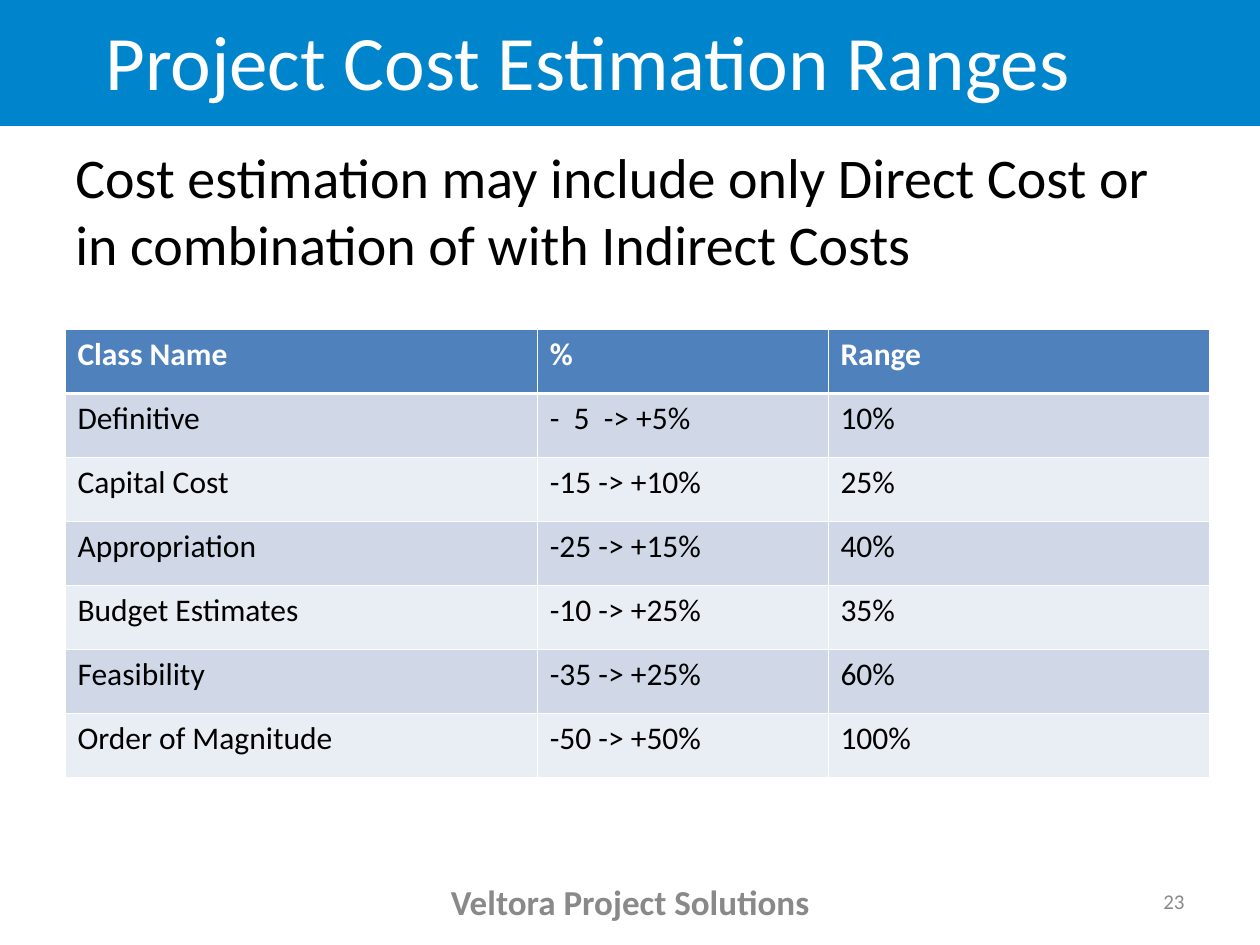
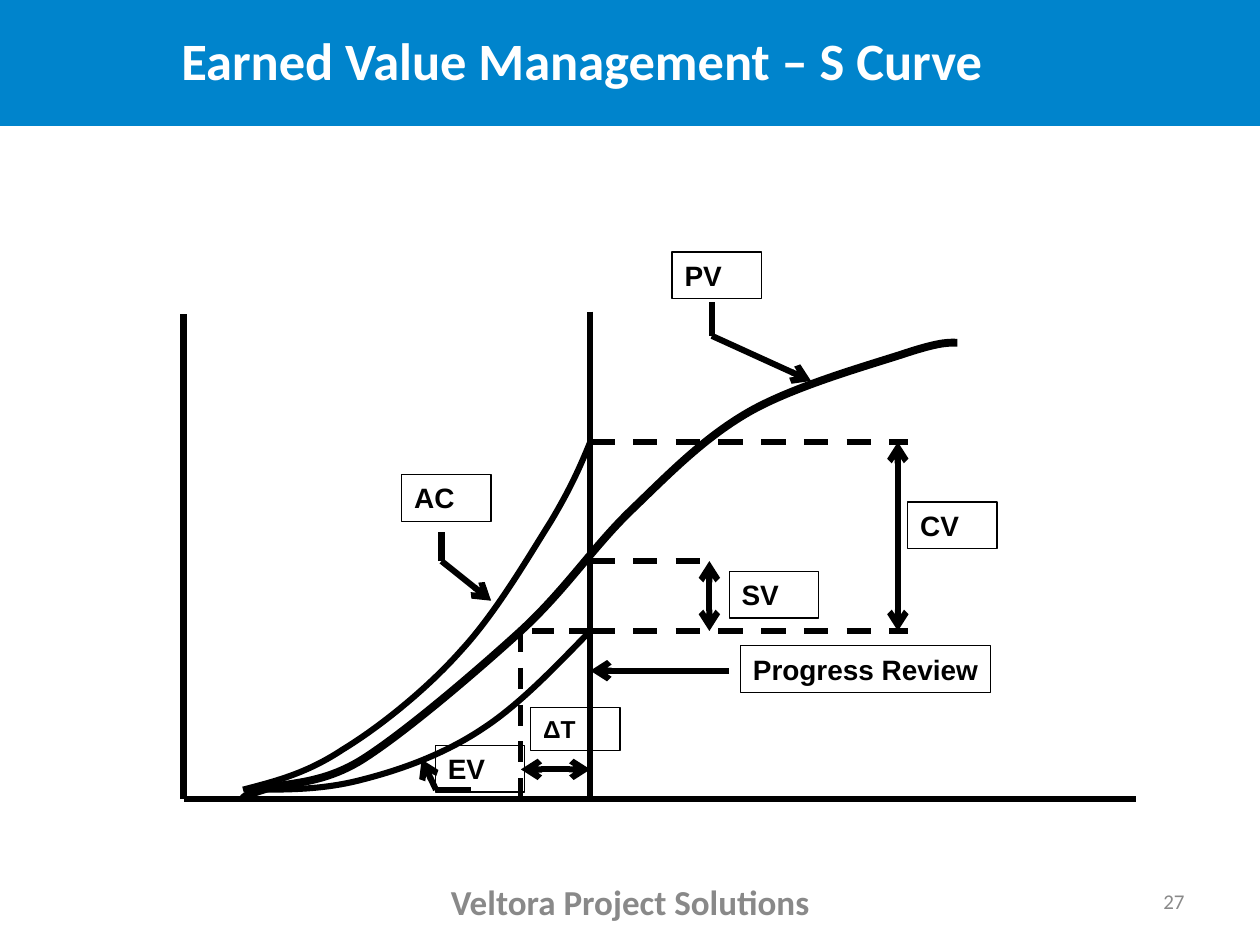
from dataclasses import dataclass

import pptx
import pptx.dml.color
import pptx.enum.dml
import pptx.enum.shapes
import pptx.enum.text
import pptx.oxml
import pptx.oxml.ns
import pptx.util
from pptx.util import Cm, Pt

PP_ALIGN = pptx.enum.text.PP_ALIGN
ANCHOR = pptx.enum.text.MSO_ANCHOR
SHAPE = pptx.enum.shapes.MSO_SHAPE
NS = pptx.oxml.ns.nsdecls("a")

COLORS = {
    "band": "0084CC",
    "white": "FFFFFF",
    "black": "000000",
    "footer": "898989",
    "header_row": "4F81BD",
    "odd_row": "D0D8E8",
    "even_row": "E9EDF4",
}
FOOTER = "Veltora Project Solutions"

Point = tuple[float, float]


@dataclass(frozen=True)
class TextStyle:
    size: float
    color: str = "black"
    bold: bool = False
    font: str = "Calibri"
    align: PP_ALIGN = PP_ALIGN.LEFT
    anchor: ANCHOR = ANCHOR.TOP


@dataclass(frozen=True)
class Label:
    text: str
    left: float
    top: float
    width: float = 1.8
    height: float = 0.94
    size: float = 16
    wrap: bool = True


@dataclass(frozen=True)
class Stroke:
    start: Point
    end: Point
    width: float = 3.5
    dashed: bool = False
    head: bool = False
    tail: bool = False


@dataclass(frozen=True)
class Curve:
    width: float
    start: Point
    segments: tuple[tuple[Point, Point, Point], ...]


def rgb(name: str) -> pptx.dml.color.RGBColor:
    return pptx.dml.color.RGBColor.from_string(COLORS[name])


def add_run(p, text: str, style: TextStyle) -> None:
    r = p.add_run()
    r.text = text
    r.font.name = style.font
    r.font.size = Pt(style.size)
    r.font.bold = style.bold
    r.font.color.rgb = rgb(style.color)


def write(tf, text: str, style: TextStyle, wrap: bool = True) -> None:
    tf.word_wrap = wrap
    tf.vertical_anchor = style.anchor
    p = tf.paragraphs[0]
    p.alignment = style.align
    add_run(p, text, style)


def add_text(s, box: tuple[float, ...], text: str, style: TextStyle) -> None:
    sp = s.shapes.add_textbox(*map(Cm, box))
    write(sp.text_frame, text, style)


# Shared frame: blue band, title, footer and page number
def add_framed_slide(prs, title: str, page: int, title_size: float, bold: bool = False):
    s = prs.slides.add_slide(prs.slide_layouts[6])
    band = s.shapes.add_shape(SHAPE.RECTANGLE, Cm(-0.02), 0, Cm(25.42), Cm(2.54))
    band.shadow.inherit = False
    band.fill.solid()
    band.fill.fore_color.rgb = rgb("band")
    band.line.fill.background()
    center, middle = PP_ALIGN.CENTER, ANCHOR.MIDDLE
    add_text(s, (0.21, 0.08, 23.29, 2.24), title,
             TextStyle(title_size, "white", bold, align=center, anchor=middle))
    add_text(s, (8.68, 17.66, 8.05, 1.02), FOOTER,
             TextStyle(20, "footer", True, align=center, anchor=middle))
    add_text(s, (18.21, 17.66, 5.92, 1.02), str(page),
             TextStyle(12, "footer", align=PP_ALIGN.RIGHT, anchor=middle))
    return s


# Table of estimate classes
ESTIMATES = [
    ("Class Name", "%", "Range"),
    ("Definitive", "-  5  -> +5%", "10%"),
    ("Capital Cost", "-15 -> +10%", "25%"),
    ("Appropriation", "-25 -> +15%", "40%"),
    ("Budget Estimates", "-10 -> +25%", "35%"),
    ("Feasibility", "-35 -> +25%", "60%"),
    ("Order of Magnitude", "-50 -> +50%", "100%"),
]
COLUMN_WIDTHS = (9.52, 5.86, 7.69)
ROW_HEIGHT = 1.29


def set_borders(cell, top: float, bottom: float) -> None:
    tc_pr = cell._tc.get_or_add_tcPr()
    widths = {"lnL": 0.45, "lnR": 0.45, "lnT": top, "lnB": bottom}
    for i, (side, width) in enumerate(widths.items()):
        tc_pr.insert(i, pptx.oxml.parse_xml(
            f'<a:{side} {NS} w="{Pt(width)}"><a:solidFill>'
            f'<a:srgbClr val="{COLORS["white"]}"/></a:solidFill></a:{side}>'))


def add_estimate_table(s) -> None:
    rows, cols = len(ESTIMATES), len(COLUMN_WIDTHS)
    table = s.shapes.add_table(rows, cols, Cm(1.31), Cm(6.64),
                               Cm(sum(COLUMN_WIDTHS)), Cm(ROW_HEIGHT * rows)).table
    for column, width in zip(table.columns, COLUMN_WIDTHS):
        column.width = Cm(width)
    for i, values in enumerate(ESTIMATES):
        table.rows[i].height = Cm(ROW_HEIGHT)
        is_header = i == 0
        fill = "header_row" if is_header else ("odd_row" if i % 2 else "even_row")
        style = TextStyle(18, "white" if is_header else "black", is_header)
        for j, value in enumerate(values):
            cell = table.cell(i, j)
            cell.fill.solid()
            cell.fill.fore_color.rgb = rgb(fill)
            add_run(cell.text_frame.paragraphs[0], value, style)
            set_borders(cell, top=1.47 if i == 1 else 0.45,
                        bottom=1.47 if is_header else 0.45)


# S-curve diagram: levels and dates that its parts share
ORIGIN_X, BASE_Y = 3.7, 16.11
EARNED_X, REVIEW_X = 10.5, 11.9
AC_Y, PV_Y, EV_Y = 8.91, 11.31, 12.72
SV_X, CV_X, GUIDE_END = 14.3, 18.1, 18.3
PV_BEND, AC_BEND, EV_BEND = (14.35, 6.77), (8.9, 11.31), (8.79, 15.92)

CURVES = [
    # Planned value
    Curve(4.5, (4.9, BASE_Y), (
        ((4.9, 16.08), (4.9, 16.05), (5.31, 15.92)),
        ((5.69, 15.77), (6.43, 15.85), (7.29, 15.32)),
        ((8.15, 14.78), (9.6, 13.54), (EARNED_X, EV_Y)),
        ((11.4, 11.89), (11.94, 11.05), (12.7, 10.31)),
        ((13.46, 9.58), (14.17, 8.84), (15.09, 8.31)),
        ((16.03, 7.77), (17.6, 7.34), (18.29, 7.11)),
        ((19.0, 6.88), (19.15, 6.91), (19.3, 6.91)))),
    # Actual cost
    Curve(3.5, (4.9, 15.92), (
        ((5.54, 15.75), (6.17, 15.6), (6.91, 15.11)),
        ((7.65, 14.66), (8.61, 13.89), (9.3, 13.11)),
        ((10.01, 12.34), (10.67, 11.2), (11.1, 10.52)),
        ((11.53, 9.8), (11.71, 9.37), (REVIEW_X, AC_Y)))),
    # Earned value
    Curve(3.5, (5.1, 15.92), (
        ((5.82, 15.92), (6.53, 15.92), (7.29, 15.72)),
        ((8.08, 15.52), (8.94, 15.21), (9.7, 14.71)),
        ((10.46, 14.22), (11.18, 13.46), (REVIEW_X, EV_Y)))),
]

STROKES = [
    # Axes and review date
    Stroke((ORIGIN_X, BASE_Y), (22.9, BASE_Y)),
    Stroke((ORIGIN_X, BASE_Y), (ORIGIN_X, 6.32)),
    Stroke((REVIEW_X, 6.28), (REVIEW_X, BASE_Y)),
    # Dashed guides
    Stroke((REVIEW_X, EV_Y), (EARNED_X, EV_Y), 3, dashed=True),
    Stroke((EARNED_X, EV_Y), (EARNED_X, BASE_Y), 3, dashed=True),
    Stroke((REVIEW_X, EV_Y), (GUIDE_END, EV_Y), dashed=True),
    Stroke((REVIEW_X, AC_Y), (GUIDE_END, AC_Y), dashed=True),
    Stroke((REVIEW_X, PV_Y), (SV_X, PV_Y), dashed=True),
    # Variance arrows
    Stroke((EARNED_X, 15.51), (REVIEW_X, 15.51), head=True, tail=True),
    Stroke((CV_X, AC_Y), (CV_X, EV_Y), head=True, tail=True),
    Stroke((SV_X, PV_Y), (SV_X, EV_Y), head=True, tail=True),
    # Bent pointers from labels to curves
    Stroke(PV_BEND, (16.35, 7.68), tail=True),
    Stroke(PV_BEND, (14.35, 6.08)),
    Stroke(AC_BEND, (9.9, 12.11), tail=True),
    Stroke(AC_BEND, (8.9, 10.72)),
    Stroke(EV_BEND, (8.5, 15.31), tail=True),
    Stroke(EV_BEND, (9.5, 15.92)),
    Stroke((14.7, 13.52), (REVIEW_X, 13.52), tail=True),
]

LABELS = [
    Label("PV", 13.55, 5.08),
    Label("AC", 8.1, 9.57),
    Label("EV", 8.78, 15.03),
    Label("SV", 14.7, 11.52),
    Label("CV", 18.3, 10.12),
    Label("ΔT", 10.7, 14.27, height=0.86, size=14),
    Label("Progress Review", 14.93, 13.02, width=5.04, wrap=False),
]


def add_curve(s, curve: Curve) -> None:
    builder = s.shapes.build_freeform(*map(Cm, curve.start))
    points = [(Cm(x), Cm(y)) for segment in curve.segments for x, y in segment]
    builder.add_line_segments(points, close=False)
    sp = builder.convert_to_shape()
    sp.shadow.inherit = False
    sp.fill.background()
    sp.line.color.rgb = rgb("black")
    sp.line.width = Pt(curve.width)
    # Every three points become the controls and end of one Bezier segment
    lines = list(sp._element.iter(pptx.oxml.ns.qn("a:lnTo")))
    for k in range(0, len(lines), 3):
        bezier = pptx.oxml.parse_xml(f"<a:cubicBezTo {NS}/>")
        lines[k].addprevious(bezier)
        for line in lines[k:k + 3]:
            bezier.append(line[0])
            line.getparent().remove(line)


def add_stroke(s, stroke: Stroke) -> None:
    connector = s.shapes.add_connector(pptx.enum.shapes.MSO_CONNECTOR.STRAIGHT,
                                       *map(Cm, stroke.start + stroke.end))
    connector.line.color.rgb = rgb("black")
    connector.line.width = Pt(stroke.width)
    if stroke.dashed:
        connector.line.dash_style = pptx.enum.dml.MSO_LINE.DASH
    ln = connector.line._get_or_add_ln()
    for tag, wanted in (("headEnd", stroke.head), ("tailEnd", stroke.tail)):
        if wanted:
            ln.append(pptx.oxml.parse_xml(f'<a:{tag} {NS} type="arrow"/>'))
    connector._element.spPr.append(pptx.oxml.parse_xml(f"<a:effectLst {NS}/>"))


def add_label(s, label: Label) -> None:
    sp = s.shapes.add_shape(SHAPE.RECTANGLE, Cm(label.left), Cm(label.top),
                            Cm(label.width), Cm(label.height))
    sp.shadow.inherit = False
    sp.fill.background()
    sp.line.color.rgb = rgb("black")
    sp.line.width = Pt(0.75)
    write(sp.text_frame, label.text,
          TextStyle(label.size, bold=True, font="Arial"), label.wrap)


def main() -> None:
    prs = pptx.Presentation()
    prs.slide_width, prs.slide_height = Cm(25.4), Cm(19.05)

    # Cost estimation ranges
    s = add_framed_slide(prs, "Project Cost Estimation Ranges", 23, 44)
    add_text(s, (1.27, 2.74, 22.86, 14.27),
             "Cost estimation may include only Direct Cost or "
             "in combination of with Indirect Costs", TextStyle(32))
    add_estimate_table(s)

    # Earned value S curve
    s = add_framed_slide(prs, "Earned Value Management – S Curve ", 27, 30, bold=True)
    for curve in CURVES:
        add_curve(s, curve)
    for stroke in STROKES:
        add_stroke(s, stroke)
    for label in LABELS:
        add_label(s, label)

    prs.save("out.pptx")


if __name__ == "__main__":
    main()
